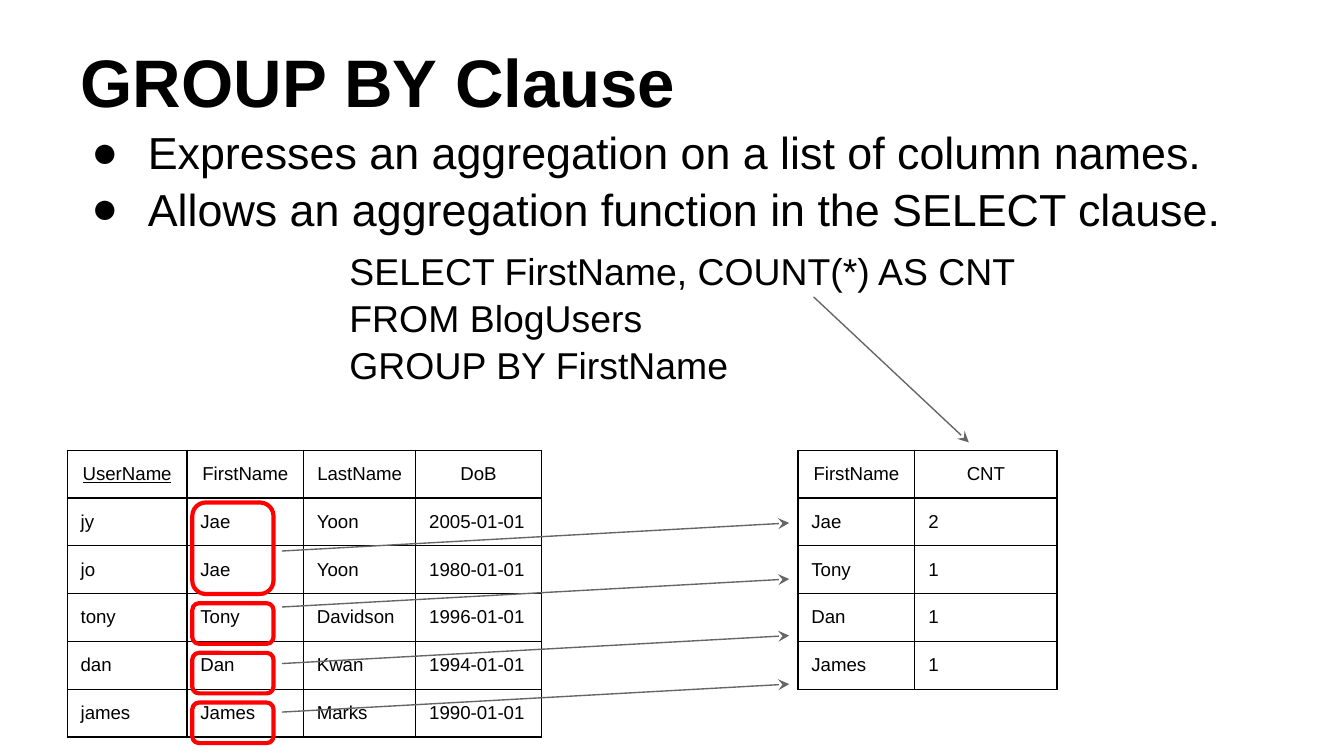
import pptx
import pptx.dml.color
import pptx.enum.shapes
import pptx.enum.text
import pptx.oxml
import pptx.oxml.ns
import pptx.util

Pt = pptx.util.Pt
ALIGN = pptx.enum.text.PP_ALIGN
ANCHOR = pptx.enum.text.MSO_ANCHOR
BLACK = pptx.dml.color.RGBColor(0x00, 0x00, 0x00)
GRAY = pptx.dml.color.RGBColor(0x66, 0x66, 0x66)
RED = pptx.dml.color.RGBColor(0xFF, 0x00, 0x00)
NS = pptx.oxml.ns.nsdecls("a")

FRAME = dict(margin_left=Pt(7.2), margin_top=Pt(7.2),
             margin_right=Pt(7.2), margin_bottom=Pt(7.2), word_wrap=True,
             auto_size=pptx.enum.text.MSO_AUTO_SIZE.NONE)
CELL = dict(margin_left=Pt(7.2), margin_top=Pt(7.2),
            margin_right=Pt(7.2), margin_bottom=Pt(7.2))
ROW_H = 25.6
TABLE_TOP = 241.2

BULLETS = ["Expresses an aggregation on a list of column names.",
           "Allows an aggregation function in the SELECT clause."]
QUERY = ["SELECT FirstName, COUNT(*) AS CNT", "FROM BlogUsers",
         "GROUP BY FirstName"]
USERS = [["UserName", "FirstName", "LastName", "DoB"],
         ["jy", "Jae", "Yoon", "2005-01-01"],
         ["jo", "Jae", "Yoon", "1980-01-01"],
         ["tony", "Tony", "Davidson", "1996-01-01"],
         ["dan", "Dan", "Kwan", "1994-01-01"],
         ["james", "James", "Marks", "1990-01-01"]]
COUNTS = [["FirstName", "CNT"], ["Jae", "2"], ["Tony", "1"],
          ["Dan", "1"], ["James", "1"]]


def set_attrs(obj, values):
    for name, value in values.items():
        setattr(obj, name, value)


def add_run(p, text, size, **extra):
    r = p.add_run()
    r.text = text
    set_attrs(r.font, dict(name="Arial", size=Pt(size), **extra))
    r.font.color.rgb = BLACK


def place(sp, left, top, width, height, anchor):
    set_attrs(sp, dict(left=Pt(left), top=Pt(top),
                       width=Pt(width), height=Pt(height)))
    set_attrs(sp.text_frame, dict(FRAME, vertical_anchor=anchor))
    return sp.text_frame


def format_paragraph(p, margin, indent, before, bullet=None):
    set_attrs(p, dict(alignment=ALIGN.LEFT, line_spacing=1.05,
                      space_before=Pt(before), space_after=Pt(0)))
    pPr = p._p.get_or_add_pPr()
    pPr.set("marL", str(Pt(margin)))
    pPr.set("indent", str(Pt(indent)))
    if bullet:
        marks = [f'<a:buClr {NS}><a:srgbClr val="{BLACK}"/></a:buClr>',
                 f'<a:buFont {NS} typeface="Arial"/>',
                 f'<a:buChar {NS} char="{bullet}"/>']
    else:
        marks = [f"<a:buNone {NS}/>"]
    for mark in marks:
        pPr.append(pptx.oxml.parse_xml(mark))


def add_title(s):
    tf = place(s.shapes.title, 36, 4.3, 648, 67.7, ANCHOR.BOTTOM)
    p = tf.paragraphs[0]
    p.alignment = ALIGN.LEFT
    add_run(p, "GROUP BY Clause", 36, bold=True)


def add_body(s):
    tf = place(s.placeholders[1], 36, 58.3, 678, 338.4, ANCHOR.TOP)
    for i, text in enumerate(BULLETS):
        p = tf.add_paragraph() if i else tf.paragraphs[0]
        format_paragraph(p, 36, -30.2, 0, "●")
        add_run(p, text, 24)
    p = tf.add_paragraph()
    format_paragraph(p, 144, 0, 6)
    for i, line in enumerate(QUERY):
        if i:
            p.add_line_break()
        add_run(p, line, 20)


def add_borders(cell):
    tcPr = cell._tc.get_or_add_tcPr()
    for side in "LRTB":
        tcPr.append(pptx.oxml.parse_xml(
            f'<a:ln{side} {NS} w="{Pt(0.75)}"><a:solidFill>'
            f'<a:srgbClr val="{BLACK}"/></a:solidFill></a:ln{side}>'))


def add_grid(s, left, widths, rows, key=None):
    sp = s.shapes.add_table(len(rows), len(widths), Pt(left), Pt(TABLE_TOP),
                            Pt(sum(widths)), Pt(ROW_H * len(rows)))
    table = sp.table
    set_attrs(table, dict(first_row=False, horz_banding=False))
    for col, width in zip(table.columns, widths):
        col.width = Pt(width)
    for i, row in enumerate(rows):
        table.rows[i].height = Pt(ROW_H)
        for j, text in enumerate(row):
            cell = table.cell(i, j)
            set_attrs(cell, CELL)
            add_borders(cell)
            cell.fill.background()
            p = cell.text_frame.paragraphs[0]
            p.alignment = ALIGN.LEFT if i else ALIGN.CENTER
            add_run(p, text, 10, underline=(i == 0 and text == key))


def add_arrow(s, x1, y1, x2, y2):
    sp = s.shapes.add_connector(pptx.enum.shapes.MSO_CONNECTOR.STRAIGHT,
                                Pt(x1), Pt(y1), Pt(x2), Pt(y2))
    sp.line.color.rgb = GRAY
    sp.line.width = Pt(0.75)
    sp.line._get_or_add_ln().append(pptx.oxml.parse_xml(
        f'<a:tailEnd {NS} type="stealth" w="med" len="med"/>'))
    sp._element.spPr.append(pptx.oxml.parse_xml(f"<a:effectLst {NS}/>"))


def add_group_box(s, top, height):
    sp = s.shapes.add_shape(pptx.enum.shapes.MSO_SHAPE.ROUNDED_RECTANGLE,
                            Pt(103), Pt(top), Pt(43.5), Pt(height))
    sp.shadow.inherit = False
    sp.fill.background()
    sp.line.color.rgb = RED
    sp.line.width = Pt(2.25)


def main():
    prs = pptx.Presentation()
    set_attrs(prs, dict(slide_width=Pt(720), slide_height=Pt(405)))
    s = prs.slides.add_slide(prs.slide_layouts[1])

    # Heading, bullets and query
    add_title(s)
    add_body(s)

    # Source rows and grouped result
    add_grid(s, 36, [64.2, 62.4, 60.2, 67.2], USERS, key="UserName")
    add_grid(s, 427.5, [62.6, 76.2], COUNTS)

    # From each group to its result row, and from COUNT to CNT
    for y in (295.2, 325.2, 355.5, 381.5):
        add_arrow(s, 151, y, 422.8, y - 15)
    add_arrow(s, 435.8, 159, 519, 237)

    # Outlines around equal first names
    add_group_box(s, 269.2, 49)
    for i in range(3):
        add_group_box(s, 323.2 + 26.6 * i, 21.7)

    prs.save("out.pptx")


if __name__ == "__main__":
    main()
